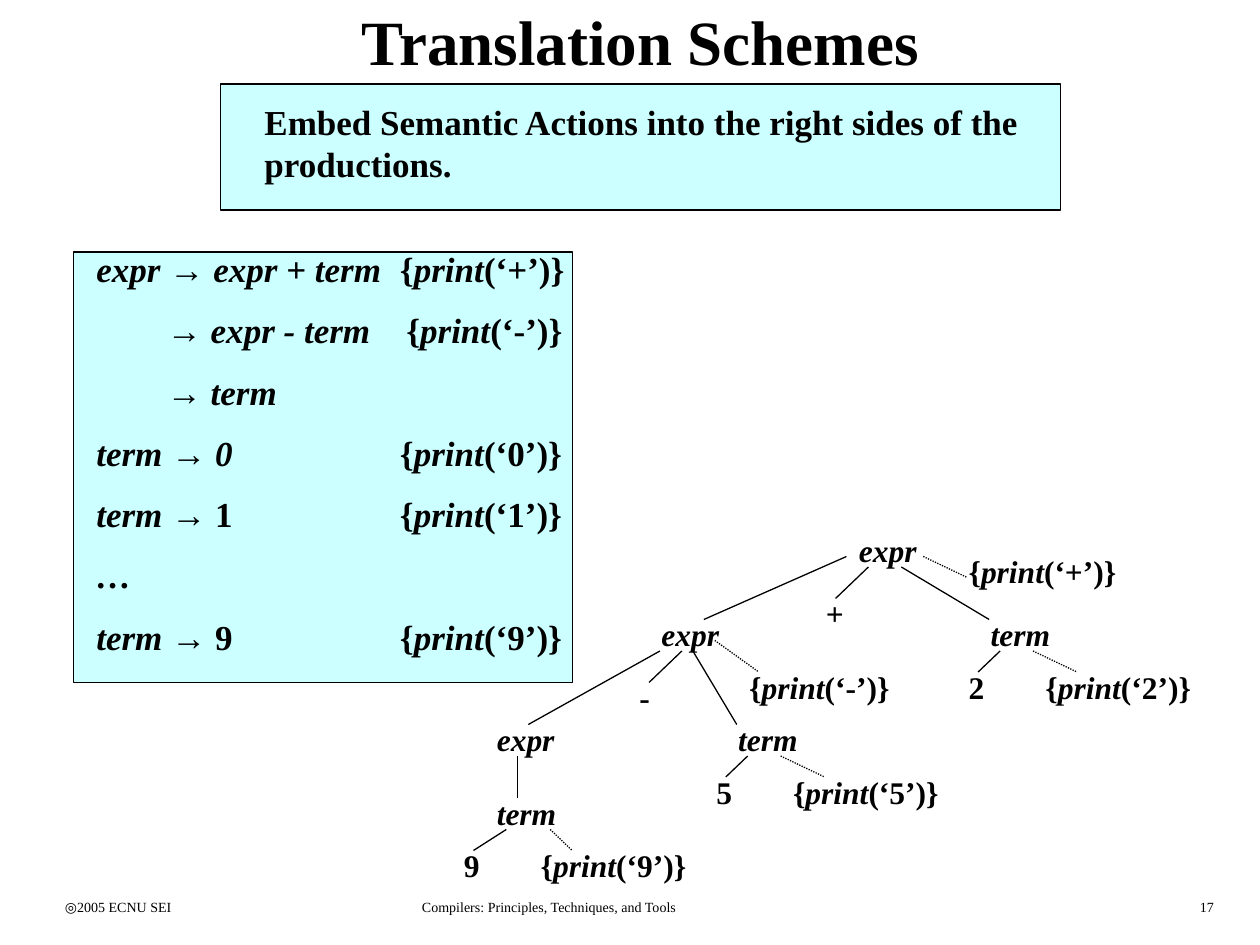
from lxml import etree
from pptx import Presentation
from pptx.dml.color import RGBColor
from pptx.enum.dml import MSO_LINE
from pptx.enum.shapes import MSO_CONNECTOR, MSO_SHAPE
from pptx.enum.text import MSO_ANCHOR, PP_ALIGN as ALIGN
from pptx.oxml.ns import qn
from pptx.util import Inches, Pt

color = RGBColor.from_string
deck = Presentation()
deck.slide_width, deck.slide_height = Inches(10), Inches(7.5)
slide = deck.slides.add_slide(deck.slide_layouts[6])
col = deck.slide_width / 120
row = deck.slide_height / 90


def write(shapes, x, y, w, h, lines, size, bold=True, align=ALIGN.LEFT, tabs=()):
    label = shapes.add_textbox(round(x * col), round(y * row), round(w * col), round(h * row))
    frame = label.text_frame
    frame.word_wrap = True
    for i, line in enumerate(lines):
        paragraph = frame.paragraphs[0] if i == 0 else frame.add_paragraph()
        paragraph.alignment = align
        if i:
            paragraph.space_before = Pt(11)
        if tabs:
            stops = etree.SubElement(paragraph._p.get_or_add_pPr(), qn("a:tabLst"))
            for stop in tabs[i]:
                etree.SubElement(stops, qn("a:tab"), pos=str(Inches(stop)), algn="l")
        font = paragraph.font
        font.name, font.size, font.bold = "Times New Roman", Pt(size), bold
        font.color.rgb = color("000000")
        for k, piece in enumerate(line.split("*")):
            if piece:
                run = paragraph.add_run()
                run.text = piece
                run.font.italic = k % 2 == 1
    return frame


for x, y, w, h in [(21, 8, 80, 12), (7, 24, 47.5, 41)]:
    panel = slide.shapes.add_shape(
        MSO_SHAPE.RECTANGLE, round(x * col), round(y * row), round(w * col), round(h * row))
    panel.shadow.inherit = False
    panel.fill.solid()
    panel.fill.fore_color.rgb = color("CCFFFF")
    panel.line.color.rgb = color("000000")
    panel.line.width = Pt(0.75)

title = write(slide.shapes, 7, 1, 108, 7, ["Translation Schemes"], 36, align=ALIGN.CENTER)
title.vertical_anchor = MSO_ANCHOR.MIDDLE
title.paragraphs[0].line_spacing = 0.8

write(slide.shapes, 24, 9, 75, 9.25,
      ["Embed Semantic Actions into the right sides of the productions."], 20)

productions = [
    ("*expr *→ *expr + term*\t{*print*(‘+’)}", [2.41]),
    ("\t→ *expr - term*\t{*print*(‘-’)}", [0.56, 2.46]),
    ("\t→ *term*", [0.56]),
    ("*term *→ *0*\t{*print*(‘0’)}", [2.41]),
    ("*term *→ 1\t{*print*(‘1’)}", [2.41]),
    ("*…*", []),
    ("*term *→ 9\t{*print*(‘9’)}", [2.41]),
]
write(slide.shapes, 8, 23, 72, 41, [line for line, _ in productions], 20,
      tabs=[stops for _, stops in productions])

tree = slide.shapes.add_group_shape().shapes
tree_left, step = 43, 1.045
nodes = [
    (13, [("*term*", 3, 75), ("*term*", 48, 58), ("*term*", 25, 68),
          ("*expr*", 3, 68), ("*expr*", 18, 58), ("*expr*", 36, 50)]),
    (6, [("9", 0, 80), ("5", 23, 73), ("2", 46, 63), ("-", 16, 64), ("+", 33, 56)]),
    (16, [("{*print*(‘-’)}", 26, 63), ("{*print*(‘9’)}", 7, 80), ("{*print*(‘5’)}", 30, 73),
          ("{*print*(‘2’)}", 53, 63), ("{*print*(‘+’)}", 46, 52)]),
]
for width, labels in nodes:
    for text, x, y in labels:
        write(tree, tree_left + x * step, y, width * step, 4.8, [text], 18)

branches = [
    (5, 79, 2, 81), (21, 62, 18, 65), (6, 72, 6, 76), (19, 62, 7, 69), (22, 62, 26, 69),
    (27, 72, 25, 74), (50, 62, 48, 64), (38, 54, 35, 57), (41, 54, 49, 59), (36, 53, 23, 59),
]
actions = [(30, 72, 34, 74), (9, 79, 11, 81), (24, 61, 28, 64), (53, 62, 57, 64), (43, 53, 47, 55)]
for edges, dash in [(branches, MSO_LINE.SOLID), (actions, MSO_LINE.ROUND_DOT)]:
    for x1, y1, x2, y2 in edges:
        edge = tree.add_connector(
            MSO_CONNECTOR.STRAIGHT,
            round((tree_left + x1 * step) * col), round(y1 * row),
            round((tree_left + x2 * step) * col), round(y2 * row))
        edge.line.color.rgb = color("000000")
        edge.line.width = Pt(0.75)
        edge.line.dash_style = dash
        etree.SubElement(edge._element.spPr, qn("a:effectLst"))

for text, x, w, align in [
    ("◎2005 ECNU SEI", 5, 24.8, ALIGN.LEFT),
    ("Compilers: Principles, Techniques, and Tools", 39, 44.8, ALIGN.LEFT),
    ("17", 92, 24.8, ALIGN.RIGHT),
]:
    write(slide.shapes, x, 85, w, 3, [text], 8, bold=False, align=align)

deck.save("out.pptx")
